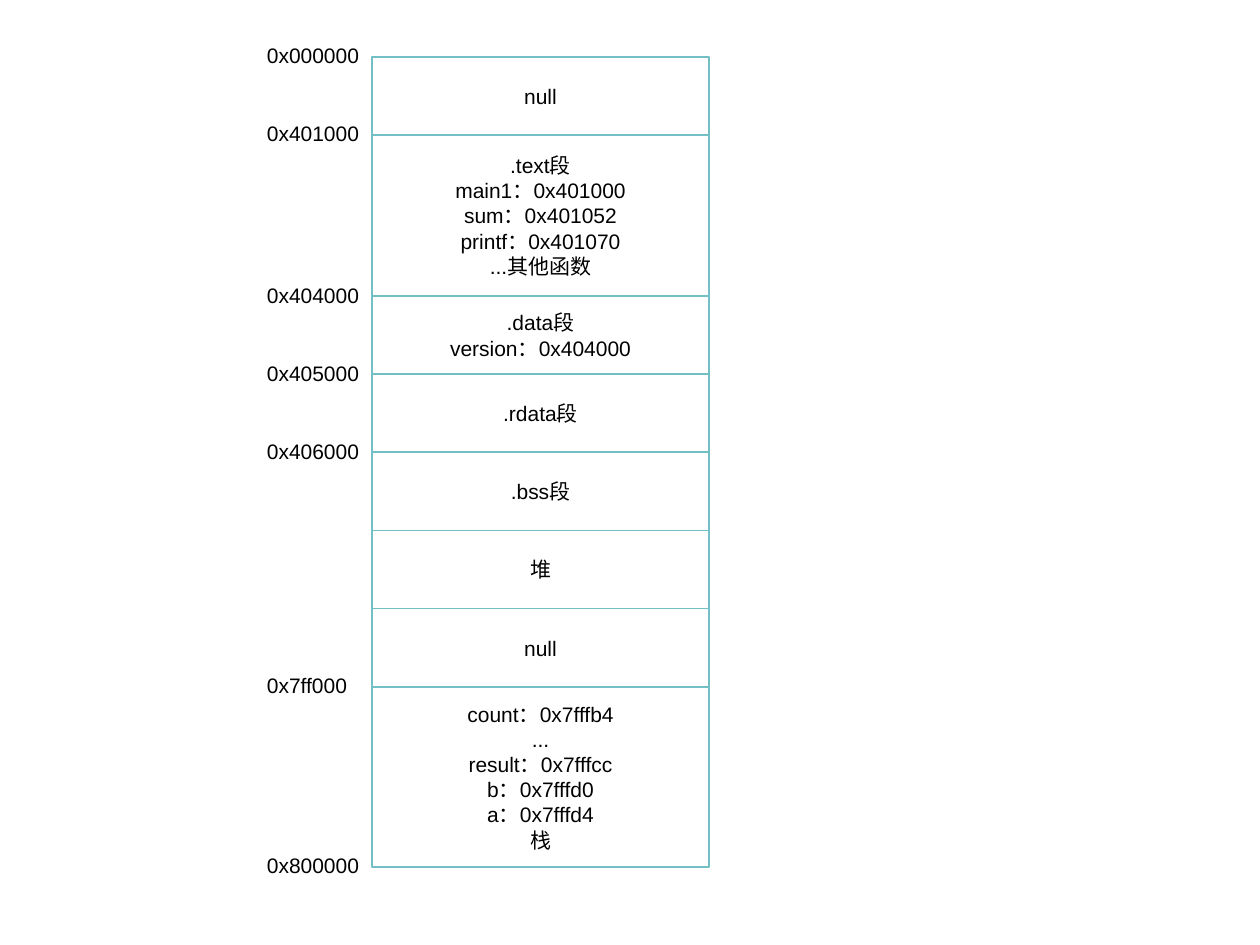
from dataclasses import dataclass

from pptx import Presentation
from pptx.dml.color import RGBColor
from pptx.enum.shapes import MSO_SHAPE
from pptx.enum.text import MSO_ANCHOR, MSO_AUTO_SIZE, PP_ALIGN
from pptx.util import Inches, Pt

RECTANGLE = MSO_SHAPE.RECTANGLE
MIDDLE = MSO_ANCHOR.MIDDLE
FIT_SHAPE = MSO_AUTO_SIZE.SHAPE_TO_FIT_TEXT
LEFT, CENTER = PP_ALIGN.LEFT, PP_ALIGN.CENTER


@dataclass(frozen=True)
class Theme:
    font: str = "Arial"
    size: Pt = Pt(12)
    text: RGBColor = RGBColor(0x00, 0x00, 0x00)
    fill: RGBColor = RGBColor(0xFF, 0xFF, 0xFF)
    border: RGBColor = RGBColor(0x72, 0xBF, 0xC5)
    border_width: Pt = Pt(1)


THEME = Theme()

# Memory segments from low to high: start address, height, lines
SEGMENTS = [
    ("0x000000", 0.62, ["null"]),
    ("0x401000", 1.28, [".text段", "main1：0x401000", "sum：0x401052",
                        "printf：0x401070", "...其他函数"]),
    ("0x404000", 0.62, [".data段", "version：0x404000"]),
    ("0x405000", 0.62, [".rdata段"]),
    ("0x406000", 0.62, [".bss段"]),
    (None, 0.62, ["堆"]),
    (None, 0.62, ["null"]),
    ("0x7ff000", 1.43, ["count：0x7fffb4", "...", "result：0x7fffcc",
                        "b：0x7fffd0", "a：0x7fffd4", "栈"]),
]
END_ADDRESS = "0x800000"

LABEL_WIDTH, LABEL_HEIGHT = Inches(0.93), Inches(0.3)
LABEL_RISE = Inches(0.16)  # from label top down to the boundary it marks


def write_lines(frame, lines, alignment):
    frame.word_wrap = True
    for index, line in enumerate(lines):
        para = frame.paragraphs[0] if index == 0 else frame.add_paragraph()
        para.text = line
        para.alignment = alignment
        para.font.name = THEME.font
        para.font.size = THEME.size
        para.font.color.rgb = THEME.text


def add_segment(page, left, top, width, height, lines):
    box = page.shapes.add_shape(RECTANGLE, left, top, width, height)
    box.shadow.inherit = False
    box.fill.solid()
    box.fill.fore_color.rgb = THEME.fill
    box.line.color.rgb = THEME.border
    box.line.width = THEME.border_width
    box.text_frame.vertical_anchor = MIDDLE
    write_lines(box.text_frame, lines, CENTER)


def add_address(page, left, boundary, address):
    label = page.shapes.add_textbox(left, boundary - LABEL_RISE,
                                    LABEL_WIDTH, LABEL_HEIGHT)
    frame = label.text_frame
    frame.margin_right = Inches(0.05)
    frame.auto_size = FIT_SHAPE
    write_lines(frame, [address], LEFT)


def add_memory_map(page, left, top, width):
    label_left = left - LABEL_WIDTH
    boundary = top
    for address, height, lines in SEGMENTS:
        add_segment(page, left, boundary, width, Inches(height), lines)
        if address:
            add_address(page, label_left, boundary, address)
        boundary += Inches(height)
    add_address(page, label_left, boundary, END_ADDRESS)


def main():
    deck = Presentation()
    deck.slide_width, deck.slide_height = Inches(10), Inches(7.5)
    page = deck.slides.add_slide(deck.slide_layouts[6])
    add_memory_map(page, Inches(2.95), Inches(0.45), Inches(2.68))
    deck.save("out.pptx")


if __name__ == "__main__":
    main()
